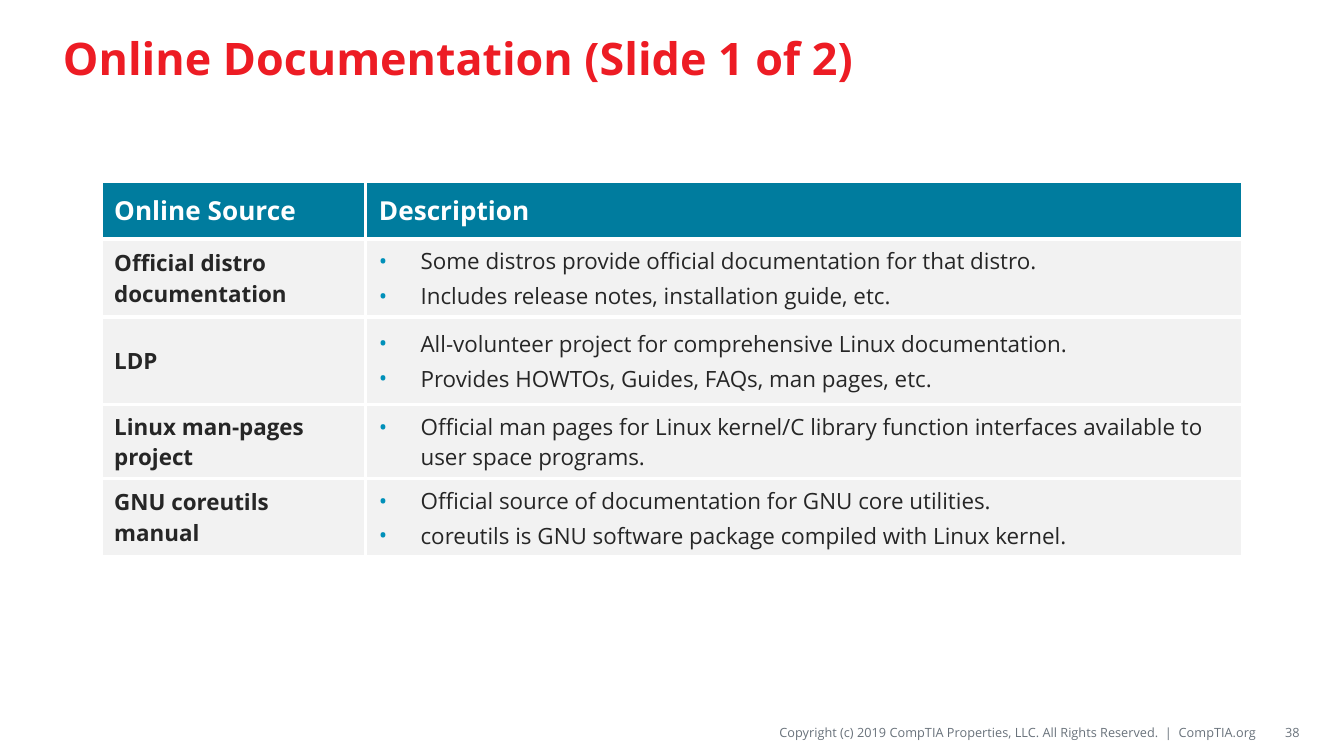
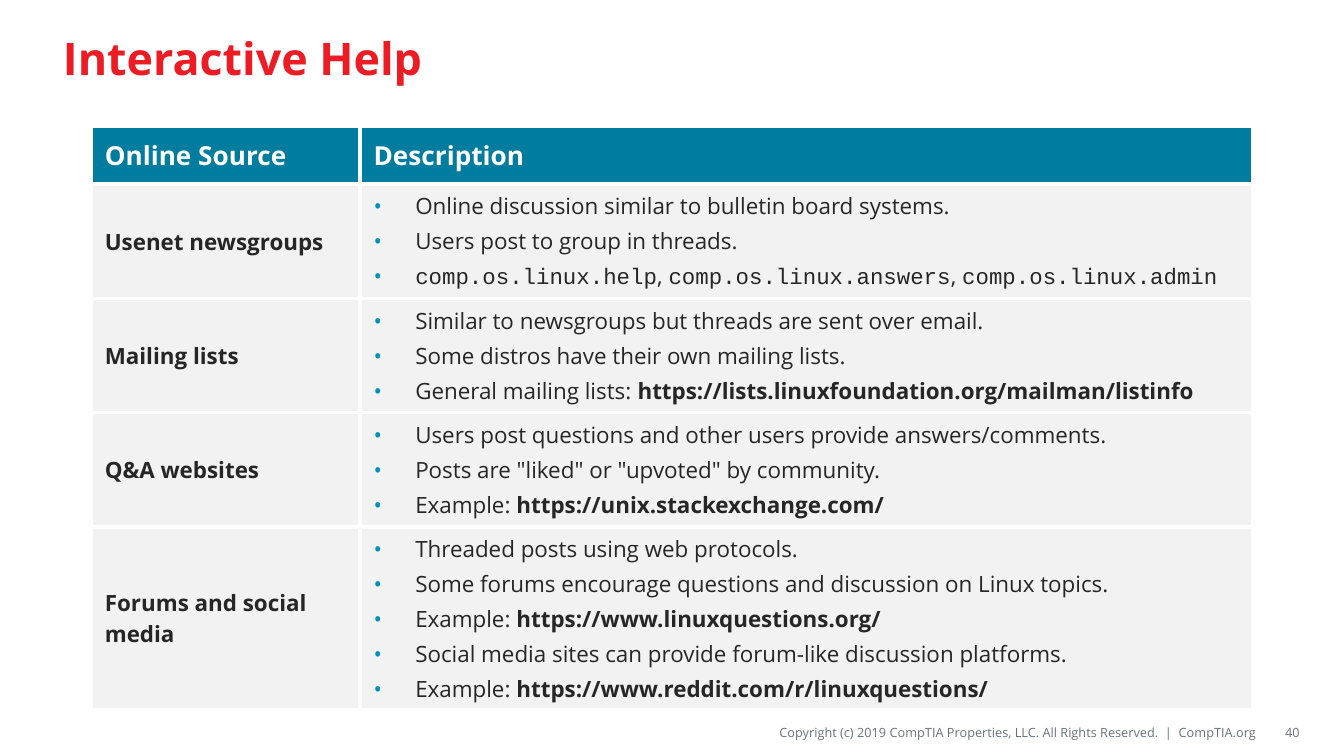
from lxml.etree import SubElement
from pptx import Presentation
from pptx.dml.color import RGBColor
from pptx.enum.text import MSO_ANCHOR, PP_ALIGN
from pptx.oxml.ns import qn
from pptx.util import Inches, Pt

SANS, MONO = "Open Sans", "Courier New"
RED, TEAL, BULLET = "ED1C24", "007C9E", "0090B9"
WHITE, PALE, DARK, GREY = "FFFFFF", "F2F2F2", "262626", "69727B"
COPYRIGHT = ("Copyright (c) 2019 CompTIA Properties, LLC. All Rights Reserved."
             "  |  CompTIA.org")
HEADINGS = ("Online Source", "Description")
SLIDE_WIDTH = 10
INDENT = 0.31


def code(text):
    return text, MONO, False


def strong(text):
    return text, SANS, True


# A bullet is a string, or a list of strings and styled pieces.
SLIDES = [
    {
        "title": "Online Documentation (Slide 1 of 2)",
        "number": 38,
        "top": 1.35,
        "columns": (1.97, 6.53),
        "heights": (0.43, 0.58, 0.65, 0.55, 0.58),
        "rows": [
            ("Official distro documentation", [
                "Some distros provide official documentation for that distro.",
                "Includes release notes, installation guide, etc."]),
            ("LDP", [
                "All-volunteer project for comprehensive Linux documentation.",
                "Provides HOWTOs, Guides, FAQs, man pages, etc."]),
            ("Linux man-pages project", [
                "Official man pages for Linux kernel/C library function "
                "interfaces available to user space programs."]),
            ("GNU coreutils manual", [
                "Official source of documentation for GNU core utilities.",
                "coreutils is GNU software package compiled with Linux kernel."]),
        ],
    },
    {
        "title": "Interactive Help",
        "number": 40,
        "top": 0.94,
        "columns": (2, 6.64),
        "heights": (0.43, 0.85, 0.85, 0.85, 1.36),
        "rows": [
            ("Usenet newsgroups", [
                "Online discussion similar to bulletin board systems.",
                "Users post to group in threads.",
                [code("comp.os.linux.help"), ", ", code("comp.os.linux.answers"),
                 ", ", code("comp.os.linux.admin")]]),
            ("Mailing lists", [
                "Similar to newsgroups but threads are sent over email.",
                "Some distros have their own mailing lists.",
                ["General mailing lists: ",
                 strong("https://lists.linuxfoundation.org/mailman/listinfo")]]),
            ("Q&A websites", [
                "Users post questions and other users provide answers/comments.",
                'Posts are "liked" or "upvoted" by community.',
                ["Example: ", strong("https://unix.stackexchange.com/")]]),
            ("Forums and social media", [
                "Threaded posts using web protocols.",
                "Some forums encourage questions and discussion on Linux topics.",
                ["Example: ", strong("https://www.linuxquestions.org/")],
                "Social media sites can provide forum-like discussion platforms.",
                ["Example: ", strong("https://www.reddit.com/r/linuxquestions/")]]),
        ],
    },
]


def rgb(color):
    return RGBColor.from_string(color)


def add_run(p, text, size, color, bold=False, font=SANS):
    r = p.add_run()
    r.text = text
    r.font.name, r.font.size, r.font.bold = font, Pt(size), bold
    r.font.color.rgb = rgb(color)


def add_text(slide, box, text, size, color, bold=False,
             align=PP_ALIGN.LEFT, insets=(0.1, 0.05, 0.1, 0.05)):
    tf = slide.shapes.add_textbox(*map(Inches, box)).text_frame
    tf.word_wrap = True
    tf.vertical_anchor = MSO_ANCHOR.MIDDLE
    (tf.margin_left, tf.margin_top,
     tf.margin_right, tf.margin_bottom) = map(Inches, insets)
    p = tf.paragraphs[0]
    p.alignment = align
    add_run(p, text, size, color, bold)


def style_cell(cell, fill):
    """Give the cell white borders, a fill and middle anchoring."""
    tcPr = cell._tc.get_or_add_tcPr()
    for side in ("lnL", "lnR", "lnT", "lnB"):
        ln = SubElement(tcPr, qn(f"a:{side}"), w=str(Pt(2.25)))
        SubElement(SubElement(ln, qn("a:solidFill")), qn("a:srgbClr"), val=WHITE)
    cell.fill.solid()
    cell.fill.fore_color.rgb = rgb(fill)
    cell.vertical_anchor = MSO_ANCHOR.MIDDLE


def add_bullet(p):
    pPr = p._p.get_or_add_pPr()
    pPr.set("marL", str(Inches(INDENT)))
    pPr.set("indent", str(-Inches(INDENT)))
    SubElement(SubElement(pPr, qn("a:buClr")), qn("a:srgbClr"), val=BULLET)
    SubElement(pPr, qn("a:buFont"), typeface=SANS)
    SubElement(pPr, qn("a:buChar"), char="•")


def fill_bullets(tf, bullets):
    for i, bullet in enumerate(bullets):
        p = tf.add_paragraph() if i else tf.paragraphs[0]
        add_bullet(p)
        if i:
            p.space_before = Pt(2.4)
        for piece in [bullet] if isinstance(bullet, str) else bullet:
            text, font, bold = (
                (piece, SANS, False) if isinstance(piece, str) else piece)
            add_run(p, text, 12, DARK, bold, font)


def add_source_table(slide, top, columns, heights, rows):
    """Add the two-column table, centred across the slide."""
    width = sum(columns)
    table = slide.shapes.add_table(
        len(heights), len(columns), Inches((SLIDE_WIDTH - width) / 2),
        Inches(top), Inches(width), Inches(sum(heights))).table
    table.horz_banding = False
    for column, w in zip(table.columns, columns):
        column.width = Inches(w)
    for i, (row, h) in enumerate(zip(table.rows, heights)):
        row.height = Inches(h)
        for cell in row.cells:
            style_cell(cell, PALE if i else TEAL)
    for cell, heading in zip(table.rows[0].cells, HEADINGS):
        add_run(cell.text_frame.paragraphs[0], heading, 14, WHITE, True)
    for i, (source, bullets) in enumerate(rows, 1):
        add_run(table.cell(i, 0).text_frame.paragraphs[0], source, 12, DARK, True)
        fill_bullets(table.cell(i, 1).text_frame, bullets)


def add_frame(slide, title, number):
    """Add what every slide shares: footer, title and page number."""
    add_text(slide, (3.88, 5.34, 5.47, 0.22), COPYRIGHT, 6.8, GREY,
             align=PP_ALIGN.RIGHT, insets=(0, 0.04, 0, 0.04))
    add_text(slide, (0.37, 0.08, 9.25, 0.69), title, 24, RED, True)
    add_text(slide, (9.38, 5.34, 0.29, 0.22), str(number), 6.8, GREY,
             align=PP_ALIGN.RIGHT, insets=(0.1, 0.05, 0, 0.05))


def main():
    prs = Presentation()
    prs.slide_width = Inches(SLIDE_WIDTH)
    prs.slide_height = Inches(SLIDE_WIDTH * 9 / 16)
    for content in SLIDES:
        slide = prs.slides.add_slide(prs.slide_layouts[6])
        add_frame(slide, content["title"], content["number"])
        add_source_table(slide, content["top"], content["columns"],
                         content["heights"], content["rows"])
    prs.save("out.pptx")


if __name__ == "__main__":
    main()
